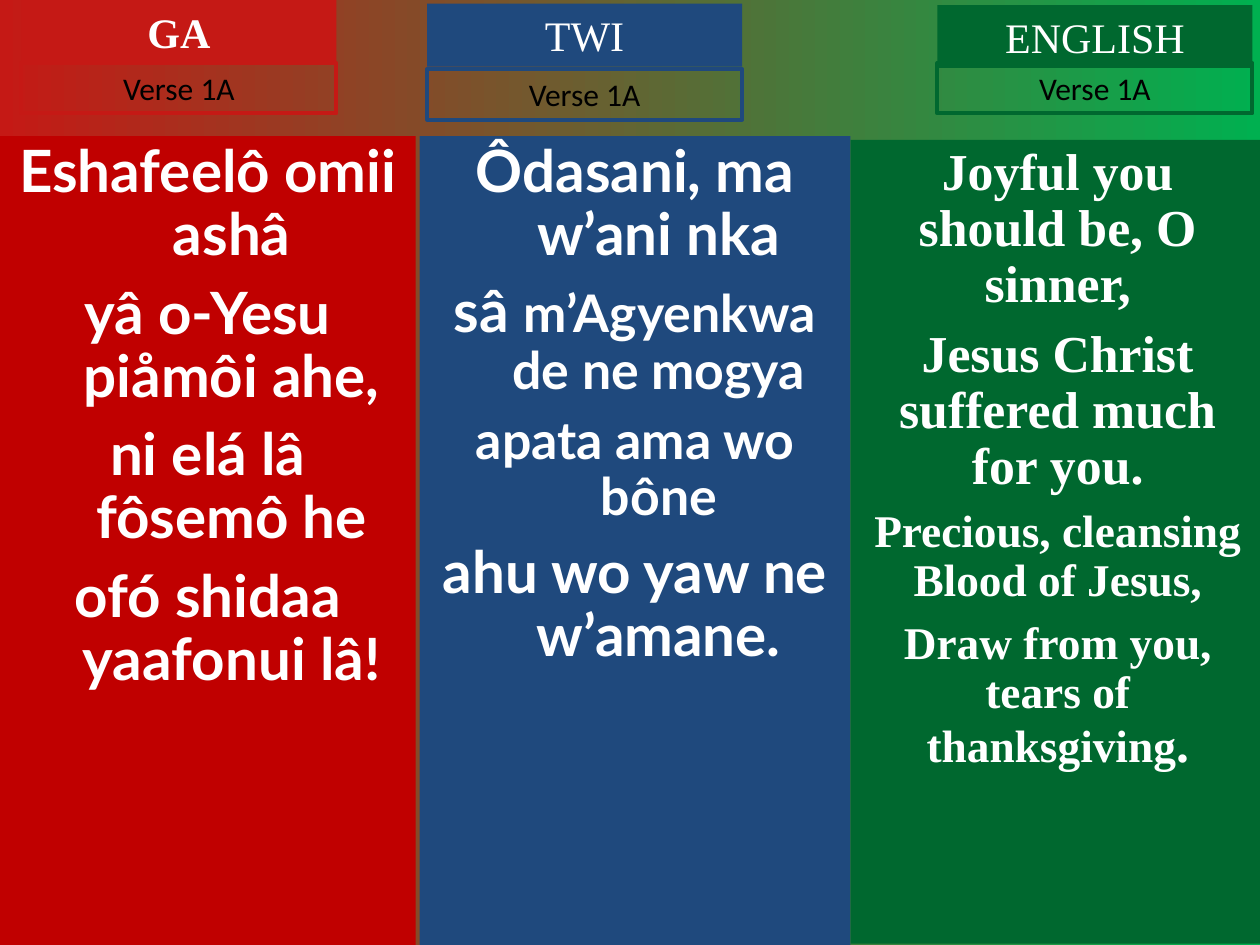
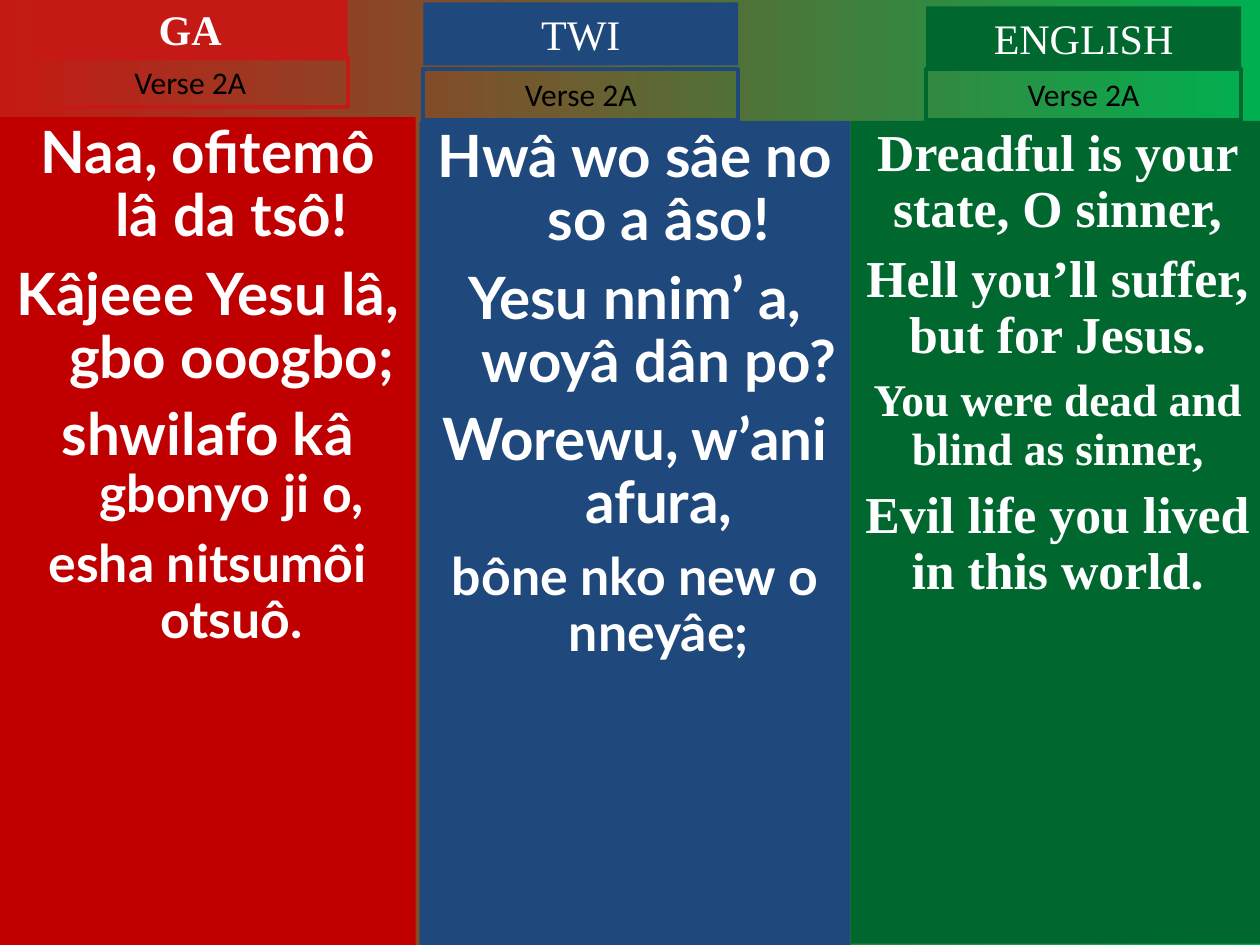
from typing import NamedTuple

from pptx import Presentation
from pptx.dml.color import RGBColor
from pptx.enum.shapes import MSO_SHAPE
from pptx.enum.text import MSO_ANCHOR, MSO_AUTO_SIZE, PP_ALIGN
from pptx.util import Inches, Pt

RECT = MSO_SHAPE.RECTANGLE
TOP = MSO_ANCHOR.TOP
CENTER = PP_ALIGN.CENTER
GROW = MSO_AUTO_SIZE.SHAPE_TO_FIT_TEXT

COLORS = {
    "red": "C51915",
    "dark_red": "C00000",
    "blue": "1F497D",
    "green": "00682F",
    "bright_green": "00B050",
    "white": "FFFFFF",
    "black": "000000",
}
SERIF, SANS, LABEL = "Times New Roman", "Lato", "Calibri"
BIG, MID, SMALL = 33.3, 29.6, 25.9
HEAD_W, TITLE_H, VERSE_H = 2.5, 0.5, 0.4
HANGING = 0.38

Line = list[tuple[str, float]]


class Language(NamedTuple):
    title: str
    head_color: str
    panel_color: str
    left: float
    width: float
    bottom: float
    font: str
    hanging: float = 0
    bold_title: bool = False


class Column(NamedTuple):
    head_left: float
    title_top: float
    verse_top: float
    panel_top: float
    lines: list[Line]


class Verse(NamedTuple):
    label: str
    columns: list[Column]


LANGUAGES = [
    Language("GA", "red", "dark_red", 0, 3.3, 7.5, SANS, HANGING, True),
    Language("TWI", "blue", "blue", 3.33, 3.42, 7.5, SANS, HANGING),
    Language("ENGLISH", "green", "green", 6.75, 3.29, 7.49, SERIF),
]

VERSES = [
    Verse("Verse 1A", [
        Column(0.17, 0, 0.5, 1.08, [
            [("Eshafeelô omii ashâ", BIG)],
            [("yâ o-Yesu piåmôi ahe,", BIG)],
            [("ni elá lâ fôsemô he", BIG)],
            [("ofó shidaa yaafonui lâ!", BIG)],
        ]),
        Column(3.39, 0.03, 0.55, 1.08, [
            [("Ôdasani, ma w’ani nka", BIG)],
            [("sâ ", BIG), ("m’Agyenkwa de ne mogya", MID)],
            [("apata ama wo bône", MID)],
            [("ahu wo yaw ne w’amane.", BIG)],
        ]),
        Column(7.44, 0.04, 0.5, 1.11, [
            [("Joyful you should be, O sinner,", MID)],
            [("Jesus Christ suffered much for you.", MID)],
            [("Precious, cleansing Blood of Jesus,", SMALL)],
            [("Draw from you, tears of thanksgiving", SMALL), (".", MID)],
        ]),
    ]),
    Verse("Verse 2A", [
        Column(0.26, -0.02, 0.45, 0.93, [
            [("Naa, ofitemô lâ da tsô!", BIG)],
            [("Kâjeee Yesu lâ, gbo ooogbo;", BIG)],
            [("shwilafo kâ ", BIG), ("gbonyo ji o,", MID)],
            [("esha nitsumôi otsuô.", MID)],
        ]),
        Column(3.36, 0.02, 0.55, 0.96, [
            [("Hwâ wo sâe no so a âso!", BIG)],
            [("Yesu nnim’ a, woyâ dân po?", BIG)],
            [("Worewu, w’ani afura,", BIG)],
            [("bône nko new o nneyâe;", MID)],
        ]),
        Column(7.35, 0.05, 0.55, 0.96, [
            [("Dreadful is your state, O sinner,", MID)],
            [("Hell you’ll suffer, but for Jesus.", MID)],
            [("You were dead and blind as sinner,", SMALL)],
            [("Evil life you lived in this world.", MID)],
        ]),
    ]),
]


def rgb(name: str) -> RGBColor:
    return RGBColor.from_string(COLORS[name])


def add_box(s, left: float, top: float, width: float, height: float,
            fill: str | None = None, line: str | None = None):
    sp = s.shapes.add_shape(RECT, Inches(left), Inches(top),
                            Inches(width), Inches(height))
    sp.shadow.inherit = False
    if fill:
        sp.fill.solid()
        sp.fill.fore_color.rgb = rgb(fill)
    else:
        sp.fill.background()
    if line:
        sp.line.color.rgb = rgb(line)
        sp.line.width = Pt(2.25)
    else:
        sp.line.fill.background()
    return sp


def write(sp, lines: list[Line], *, font: str, color: str, bold: bool = False,
          hanging: float = 0, spacing: float = 1, grow: bool = False) -> None:
    """Write centred lines; the gap above each follows the size of its last run."""
    tf = sp.text_frame
    tf.word_wrap = True
    tf.vertical_anchor = TOP
    if grow:
        tf.auto_size = GROW
    for i, line in enumerate(lines):
        p = tf.add_paragraph() if i else tf.paragraphs[0]
        p.alignment = CENTER
        p.line_spacing = spacing
        if i:
            p.space_before = Pt(round(line[-1][1] * 0.27))
        if hanging:
            pPr = p._p.get_or_add_pPr()
            pPr.set("marL", str(Inches(hanging)))
            pPr.set("indent", str(-Inches(hanging)))
        for text, size in line:
            r = p.add_run()
            r.text = text
            r.font.name = font
            r.font.size = Pt(size)
            r.font.bold = bold
            r.font.color.rgb = rgb(color)


def paint_background(s) -> None:
    fill = s.background.fill
    fill.gradient()
    fill.gradient_angle = 0
    for stop, color in zip(fill.gradient_stops, ("red", "bright_green")):
        stop.color.rgb = rgb(color)


def add_column(s, lang: Language, col: Column, label: str) -> None:
    panel = add_box(s, lang.left, col.panel_top, lang.width,
                    lang.bottom - col.panel_top, fill=lang.panel_color)
    write(panel, col.lines, font=lang.font, color="white", bold=True,
          hanging=lang.hanging, spacing=0.9)
    title = add_box(s, col.head_left, col.title_top, HEAD_W, TITLE_H,
                    fill=lang.head_color)
    write(title, [[(lang.title, 24)]], font=SERIF, color="white",
          bold=lang.bold_title, grow=True)
    verse = add_box(s, col.head_left, col.verse_top, HEAD_W, VERSE_H,
                    line=lang.head_color)
    write(verse, [[(label, 18)]], font=LABEL, color="black", grow=True)


def main() -> None:
    prs = Presentation()
    prs.slide_width, prs.slide_height = Inches(10), Inches(7.5)
    for verse in VERSES:
        s = prs.slides.add_slide(prs.slide_layouts[6])
        paint_background(s)
        for lang, col in zip(LANGUAGES, verse.columns):
            add_column(s, lang, col, verse.label)
    prs.save("out.pptx")


if __name__ == "__main__":
    main()
